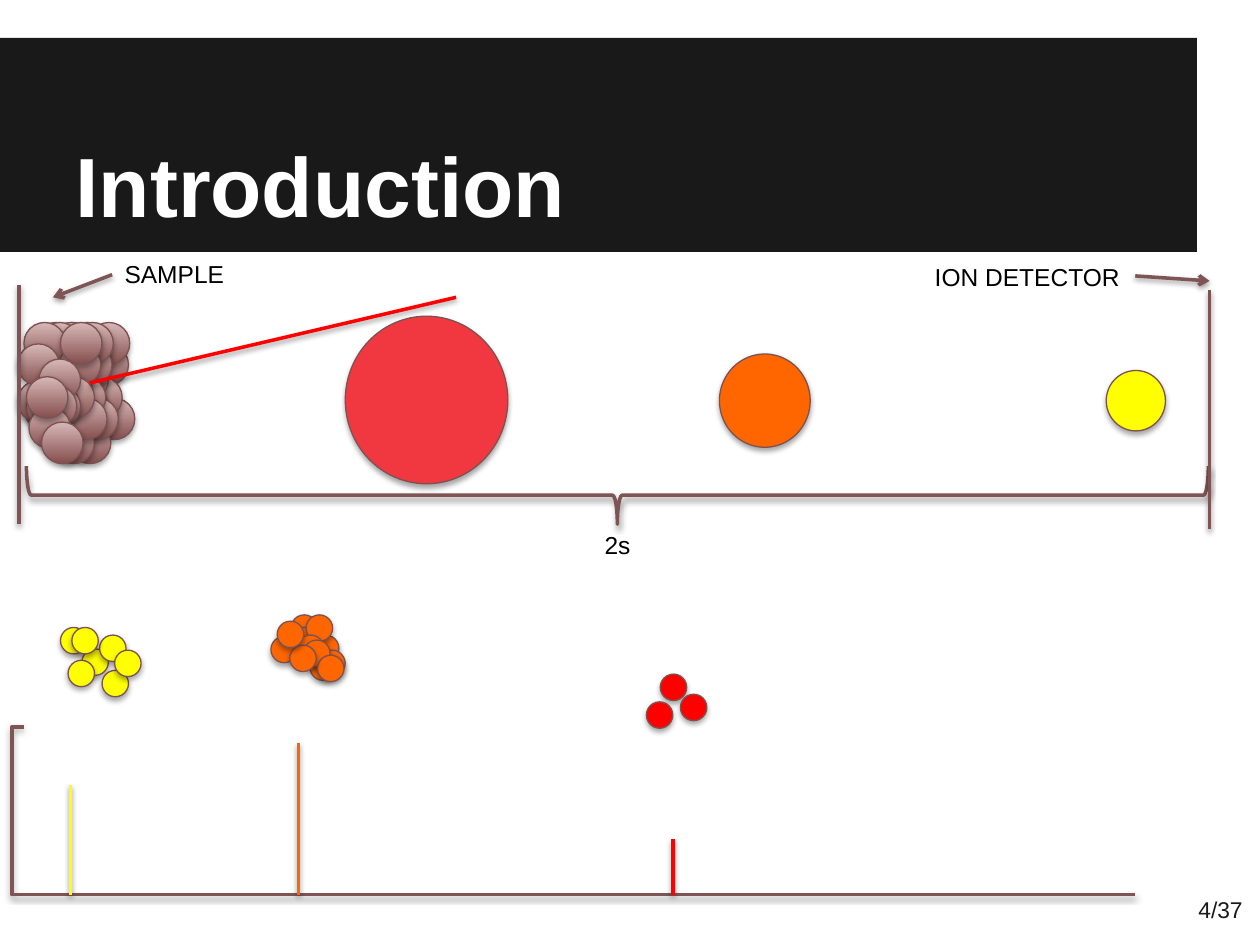
from dataclasses import dataclass

from lxml.etree import SubElement
from pptx import Presentation
from pptx.dml.color import RGBColor as RGB
from pptx.enum.shapes import MSO_CONNECTOR as Link, MSO_SHAPE as Form
from pptx.enum.text import MSO_ANCHOR as Anchor, MSO_AUTO_SIZE as Auto, PP_ALIGN as Align
from pptx.oxml.ns import qn
from pptx.util import Inches, Pt


@dataclass(frozen=True)
class Theme:
    font: str = "Arial"
    head: int = 48
    body: int = 14
    page: int = 13
    dark: str = "191919"
    white: str = "FFFFFF"
    black: str = "000000"
    edge: str = "7C5251"
    rule: str = "7E5554"
    low: str = "844F4E"
    high: str = "D7B8B7"
    rose: str = "F13840"
    red: str = "FF0000"
    orange: str = "FF6600"
    yellow: str = "FFFF00"
    thin: float = 0.75
    thick: float = 2


T = Theme()

# Left and top of each ball
SAMPLE = [
    (0.53, 2.56), (0.69, 2.73), (0.41, 3.08), (0.74, 3.16),
    (0.41, 2.56), (0.7, 2.56), (0.64, 2.99), (0.53, 3.06),
    (0.36, 3.02), (0.36, 2.73), (0.53, 2.85), (0.43, 3.06),
    (0.5, 3.06), (0.45, 3.23), (0.43, 2.99), (0.55, 3.35),
]
SHIFTS = (0, -0.13, -0.22)
LIGHT = [(0.48, 4.98), (0.65, 5.15), (0.81, 5.32), (0.54, 5.24),
         (0.79, 5.04), (0.91, 5.16), (0.57, 4.98)]
MEDIUM = [(2.31, 4.88), (2.48, 5.04), (2.46, 5.19), (2.3, 5.05), (2.31, 4.98),
          (2.53, 5.16), (2.43, 4.88), (2.36, 5.04), (2.41, 5.08), (2.15, 5.05),
          (2.52, 5.2), (2.3, 5.12), (2.2, 4.93)]
HEAVY = [(5.24, 5.35), (5.4, 5.51), (5.13, 5.57)]
BASE = 7.1


def shade(item, dist, alpha):
    """Drop a soft shadow straight down; call after the line is set."""
    props = item._element.spPr
    for old in props.findall(qn("a:effectLst")):
        props.remove(old)
    drop = SubElement(SubElement(props, qn("a:effectLst")), qn("a:outerShdw"),
                      blurRad="40000", dist=str(dist), dir="5400000", rotWithShape="0")
    tint = SubElement(drop, qn("a:srgbClr"), val=T.black)
    SubElement(tint, qn("a:alpha"), val=str(alpha * 1000))


class Page:
    def __init__(self, deck):
        self.slide = deck.slides.add_slide(deck.slide_layouts[5])
        self.shapes = self.slide.shapes

    def style(self, para, size, color, bold=False):
        font = para.font
        font.name, font.size, font.bold = T.font, Pt(size), bold
        font.color.rgb = RGB.from_string(color)

    def stroke(self, item, color, width):
        item.line.color.rgb = RGB.from_string(color)
        item.line.width = Pt(width)

    def band(self, *box):
        """Lay a dark bar behind everything else."""
        bar = self.shapes.add_shape(Form.RECTANGLE, *map(Inches, box))
        bar.shadow.inherit = False
        bar.fill.solid()
        bar.fill.fore_color.rgb = RGB.from_string(T.dark)
        bar.line.fill.background()
        self.shapes._spTree.insert(2, bar._element)

    def title(self, text, *box):
        head = self.shapes.title
        head.left, head.top, head.width, head.height = map(Inches, box)
        self.letter(head.text_frame, text, T.head, T.white, Anchor.BOTTOM, bold=True)

    def letter(self, frame, text, size, color, anchor, align=Align.LEFT, bold=False):
        """Fill a frame that has even margins on all sides."""
        frame.auto_size, frame.word_wrap = Auto.NONE, True
        frame.vertical_anchor = anchor
        frame.margin_left = frame.margin_right = Inches(0.1)
        frame.margin_top = frame.margin_bottom = Inches(0.1)
        frame.text = text
        para = frame.paragraphs[0]
        para.alignment = align
        self.style(para, size, color, bold)

    def number(self, text, *box):
        frame = self.shapes.add_textbox(*map(Inches, box)).text_frame
        self.letter(frame, text, T.page, T.dark, Anchor.MIDDLE, Align.RIGHT)

    def label(self, text, left, top, width):
        box = self.shapes.add_textbox(*map(Inches, (left, top, width, 0.34)))
        frame = box.text_frame
        frame.word_wrap, frame.auto_size = False, Auto.SHAPE_TO_FIT_TEXT
        frame.text = text
        self.style(frame.paragraphs[0], T.body, T.black)

    def ball(self, left, top, width, height, color=None):
        """Draw one ion; without a colour it gets the sample's gradient."""
        ball = self.shapes.add_shape(Form.OVAL, *map(Inches, (left, top, width, height)))
        if color:
            ball.fill.solid()
            ball.fill.fore_color.rgb = RGB.from_string(color)
        else:
            ball.fill.gradient()
            ball.fill.gradient_angle = 90
            for stop, tint in zip(ball.fill.gradient_stops, (T.low, T.high)):
                stop.color.rgb = RGB.from_string(tint)
        self.stroke(ball, T.edge, T.thin)
        shade(ball, 23000, 35)

    def group(self, spots, size, color=None, shift=0):
        for left, top in spots:
            self.ball(left + shift, top, size, size, color)

    def brace(self, left, top, width, height):
        brace = self.shapes.add_shape(Form.LEFT_BRACE, *map(Inches, (left, top, width, height)))
        brace.rotation = 270
        brace.fill.background()
        self.stroke(brace, T.rule, T.thick)
        shade(brace, 20000, 38)

    def line(self, *ends, color=T.rule, kind=Link.STRAIGHT, arrow=False):
        line = self.shapes.add_connector(kind, *map(Inches, ends))
        self.stroke(line, color, T.thick)
        if arrow:
            SubElement(line.line._get_or_add_ln(), qn("a:tailEnd"), type="arrow")
        shade(line, 20000, 38)
        return line

    def axes(self, *ends):
        """Draw both axes as one elbow that bends left of its start."""
        axes = self.line(*ends, kind=Link.ELBOW)
        guides = axes._element.spPr.find(qn("a:prstGeom")).get_or_add_avLst()
        SubElement(guides, qn("a:gd"), name="adj1", fmla="val -1060")


def main():
    deck = Presentation()
    deck.slide_width, deck.slide_height = Inches(10), Inches(7.5)
    page = Page(deck)
    page.band(0, 0.3, 9.5, 1.7)
    page.title("Introduction", 0.5, 0.3, 9, 1.66)
    page.number("4/37", 9.01, 6.93, 0.95, 0.57)

    for shift in SHIFTS:
        page.group(SAMPLE, 0.33, shift=shift)
    page.brace(4.67, -0.76, 0.46, 9.38)
    page.label("2s", 4.7, 4.16, 0.41)
    page.ball(2.74, 2.51, 1.29, 1.33, T.rose)
    page.ball(5.71, 2.81, 0.72, 0.74, T.orange)
    page.ball(8.78, 2.94, 0.47, 0.48, T.yellow)

    page.axes(0.19, 5.77, 9.01, BASE)
    for x, top, color in ((0.56, 6.23, T.yellow), (2.37, 5.9, T.orange), (5.34, 6.66, T.red)):
        page.line(x, BASE, x, top, color=color)
    for spots, color in ((LIGHT, T.yellow), (MEDIUM, T.orange), (HEAVY, T.red)):
        page.group(spots, 0.21, color)

    for x, top in ((0.15, 2.26), (9.6, 2.3)):
        page.line(x, top, x, top + 1.9)
    page.label("ION DETECTOR", 7.32, 2.03, 1.69)
    page.line(9.01, 2.19, 9.6, 2.23, arrow=True)
    page.label("SAMPLE", 0.89, 2.01, 1)
    page.line(0.89, 2.18, 0.42, 2.36, arrow=True)
    page.line(3.62, 2.36, 0.71, 3.04, color=T.red)
    deck.save("out.pptx")


if __name__ == "__main__":
    main()
